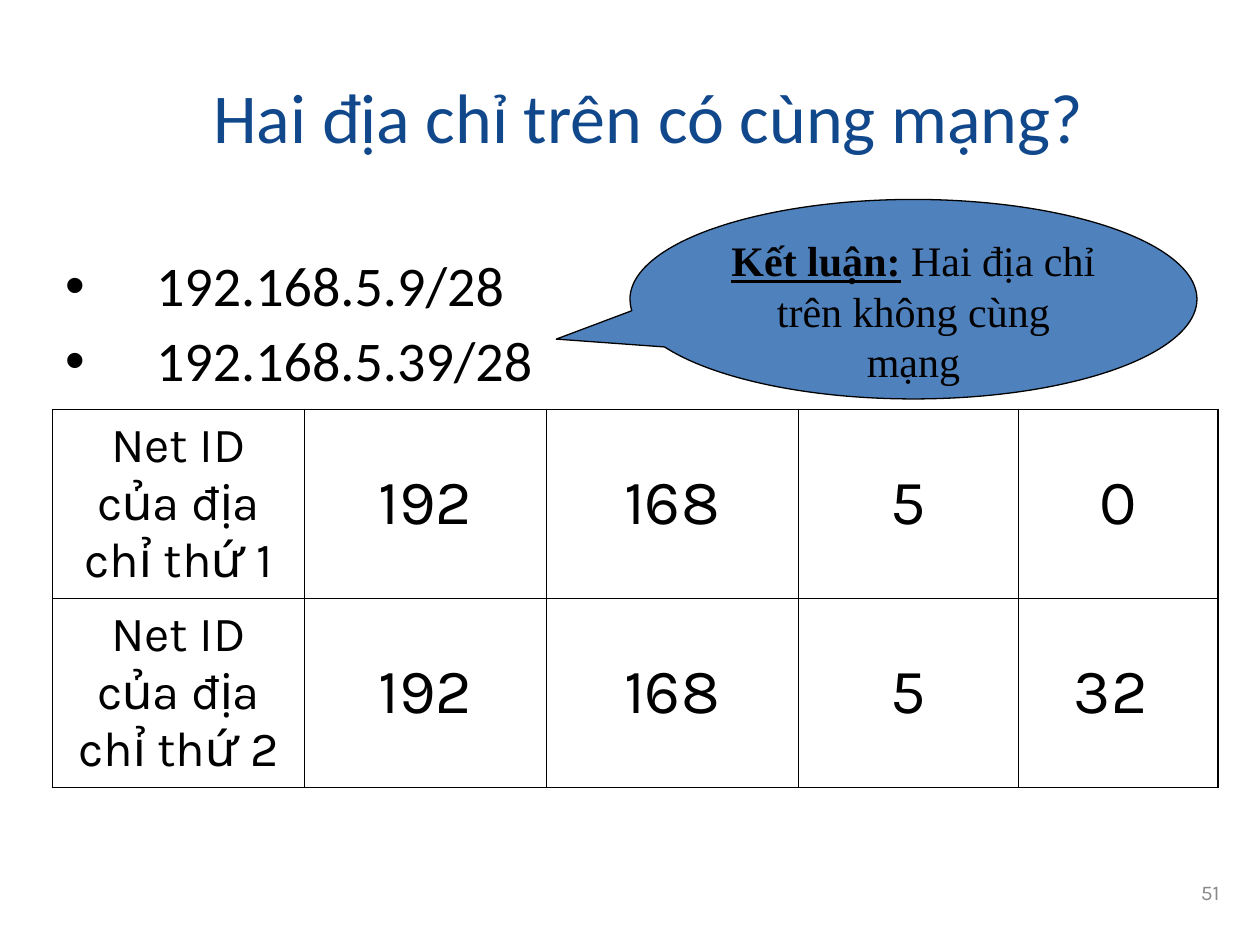
from dataclasses import dataclass
from pptx import Presentation
from pptx.dml.color import RGBColor as RGB
from pptx.enum.shapes import MSO_SHAPE as SHAPE
from pptx.enum.text import MSO_ANCHOR as ANCHOR, MSO_AUTO_SIZE as AUTO, PP_ALIGN as ALIGN
from pptx.oxml import parse_xml
from pptx.oxml.ns import nsdecls
from pptx.util import Pt


@dataclass(frozen=True)
class Theme:
    title_color: str = "11488B"
    ink: str = "000000"
    muted: str = "898989"
    accent: str = "4F81BD"
    title_size: float = 40
    body_size: float = 32
    label_size: float = 28
    value_size: float = 36
    callout_size: float = 24
    number_size: float = 12
    thin: float = 0.45
    thick: float = 1.08
    main_font: str = "Calibri"
    table_font: str = "Karla"
    callout_font: str = "Times New Roman"


def add_text(p, text, *, size, font, color, bold=False, underline=False,
             align=None, before=None, spacing=None):
    r = p.add_run()
    r.text = text
    r.font.size = Pt(size)
    r.font.name = font
    r.font.bold = bold
    r.font.underline = underline
    r.font.color.rgb = RGB.from_string(color)
    if align is not None:
        p.alignment = align
    if before is not None:
        p.space_before = Pt(before)
    if spacing is not None:
        p.line_spacing = spacing


class SlideBuilder:
    def __init__(self, prs, theme):
        self.theme = theme
        self.s = prs.slides.add_slide(prs.slide_layouts[1])

    def place(self, sp, box, anchor):
        sp.left, sp.top, sp.width, sp.height = map(Pt, box)
        tf = sp.text_frame
        tf.word_wrap = True
        tf.auto_size = AUTO.NONE
        tf.vertical_anchor = anchor
        return tf

    def title(self, text, box):
        t = self.theme
        tf = self.place(self.s.shapes.title, box, ANCHOR.MIDDLE)
        add_text(tf.paragraphs[0], text, size=t.title_size, font=t.main_font,
                 color=t.title_color, align=ALIGN.CENTER)

    def bullets(self, items, box, indent=52):
        t = self.theme
        tf = self.place(self.s.placeholders[1], box, ANCHOR.TOP)
        for i, item in enumerate(items):
            p = tf.add_paragraph() if i else tf.paragraphs[0]
            add_text(p, item, size=t.body_size, font=t.main_font,
                     color=t.ink, before=8, spacing=0.9)
            pPr = p._p.get_or_add_pPr()
            pPr.set("marL", str(Pt(indent)))
            pPr.set("indent", str(-Pt(indent)))

    def borders(self, cell, widths):
        tcPr = cell._tc.get_or_add_tcPr()
        for i, (side, width) in enumerate(zip("LRTB", widths)):
            tcPr.insert(i, parse_xml(
                f'<a:ln{side} {nsdecls("a")} w="{Pt(width)}"><a:solidFill>'
                f'<a:srgbClr val="{self.theme.ink}"/></a:solidFill></a:ln{side}>'))

    def table(self, rows, left, top, widths, row_height):
        t = self.theme
        n, m = len(rows), len(widths)
        tbl = self.s.shapes.add_table(n, m, Pt(left), Pt(top), Pt(sum(widths)),
                                      Pt(n * row_height)).table
        tbl.first_row = tbl.horz_banding = False
        for col, width in zip(tbl.columns, widths):
            col.width = Pt(width)
        for i, row in enumerate(rows):
            tbl.rows[i].height = Pt(row_height)
            for j, text in enumerate(row):
                cell = tbl.cell(i, j)
                cell.fill.background()
                cell.vertical_anchor = ANCHOR.MIDDLE
                size, before = (t.value_size, 9) if j else (t.label_size, 7)
                add_text(cell.text_frame.paragraphs[0], text, size=size,
                         font=t.table_font, color=t.ink, align=ALIGN.CENTER,
                         before=before)
                outer = (j == 0, j == m - 1, i == 0, i == n - 1)
                self.borders(cell, [t.thick if edge else t.thin for edge in outer])

    def page_number(self, text, box):
        t = self.theme
        sp = self.s.shapes.add_textbox(*map(Pt, box))
        tf = self.place(sp, box, ANCHOR.MIDDLE)
        add_text(tf.paragraphs[0], text, size=t.number_size, font=t.table_font,
                 color=t.muted, align=ALIGN.RIGHT)

    def callout(self, lead, text, box, tip):
        t = self.theme
        sp = self.s.shapes.add_shape(SHAPE.OVAL_CALLOUT, *map(Pt, box))
        sp.adjustments[0], sp.adjustments[1] = tip
        sp.shadow.inherit = False
        sp.fill.solid()
        sp.fill.fore_color.rgb = RGB.from_string(t.accent)
        sp.line.color.rgb = RGB.from_string(t.ink)
        sp.line.width = Pt(0.75)
        p = self.place(sp, box, ANCHOR.TOP).paragraphs[0]
        style = dict(size=t.callout_size, font=t.callout_font, color=t.ink)
        add_text(p, lead, bold=True, underline=True, align=ALIGN.CENTER, **style)
        add_text(p, text, **style)


def main():
    prs = Presentation()
    prs.slide_width, prs.slide_height = Pt(720), Pt(540)
    b = SlideBuilder(prs, Theme())
    b.title("Hai địa chỉ trên có cùng mạng? ", (84, 30, 582, 72))
    b.bullets(["192.168.5.9/28", "192.168.5.39/28"], (30, 144, 318, 90))
    b.table([["Net ID của địa chỉ thứ 1", "192", "168", "5", "0"],
             ["Net ID của địa chỉ thứ 2", "192", "168", "5", "32 "]],
            30, 234, [144, 138, 144, 126, 114], 108)
    b.page_number("51", (554, 492, 150, 36))
    b.callout("Kết luận:", " Hai địa chỉ trên không cùng mạng",
              (360, 114, 324, 114), (-0.63, 0.2))
    prs.save("out.pptx")


if __name__ == "__main__":
    main()
